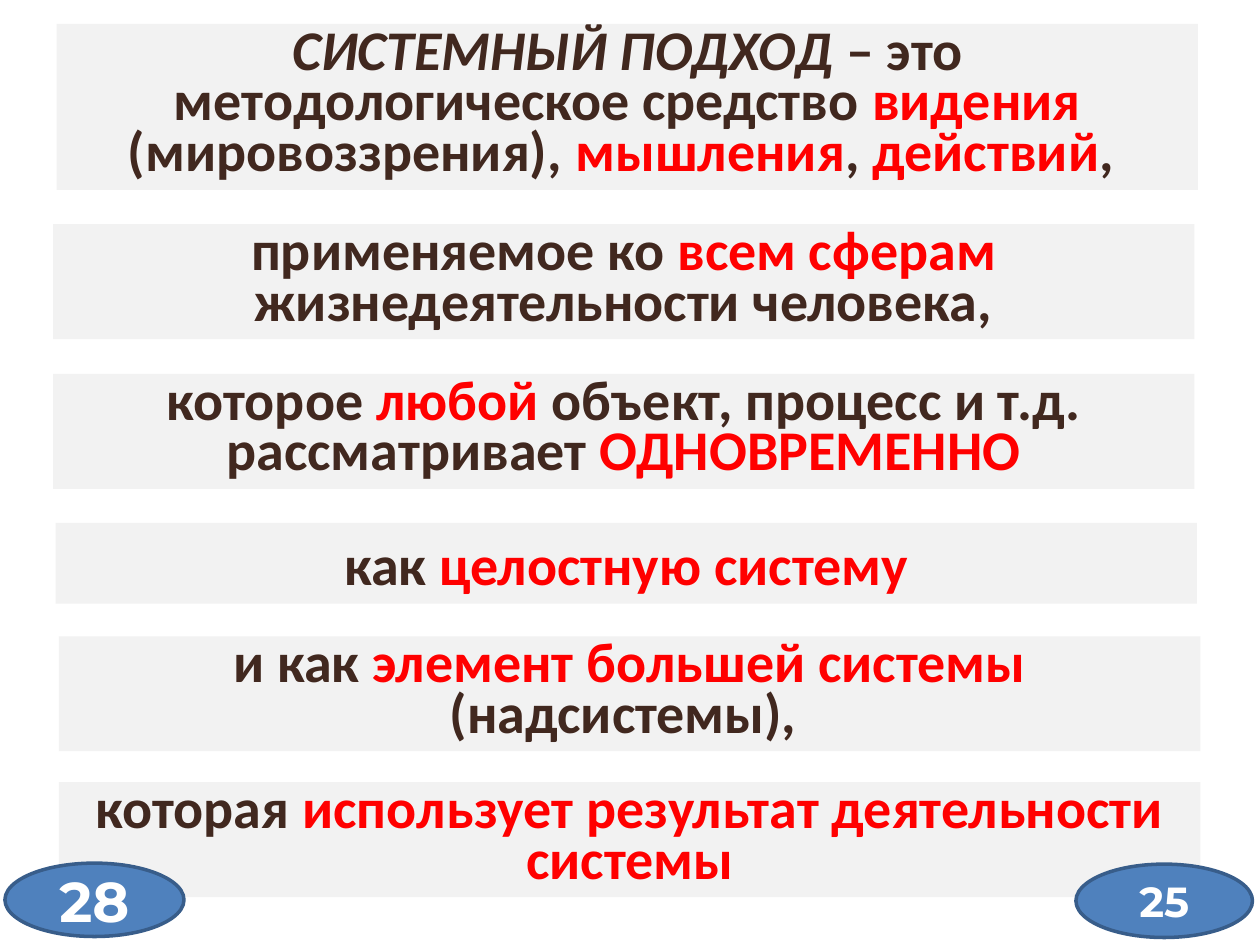
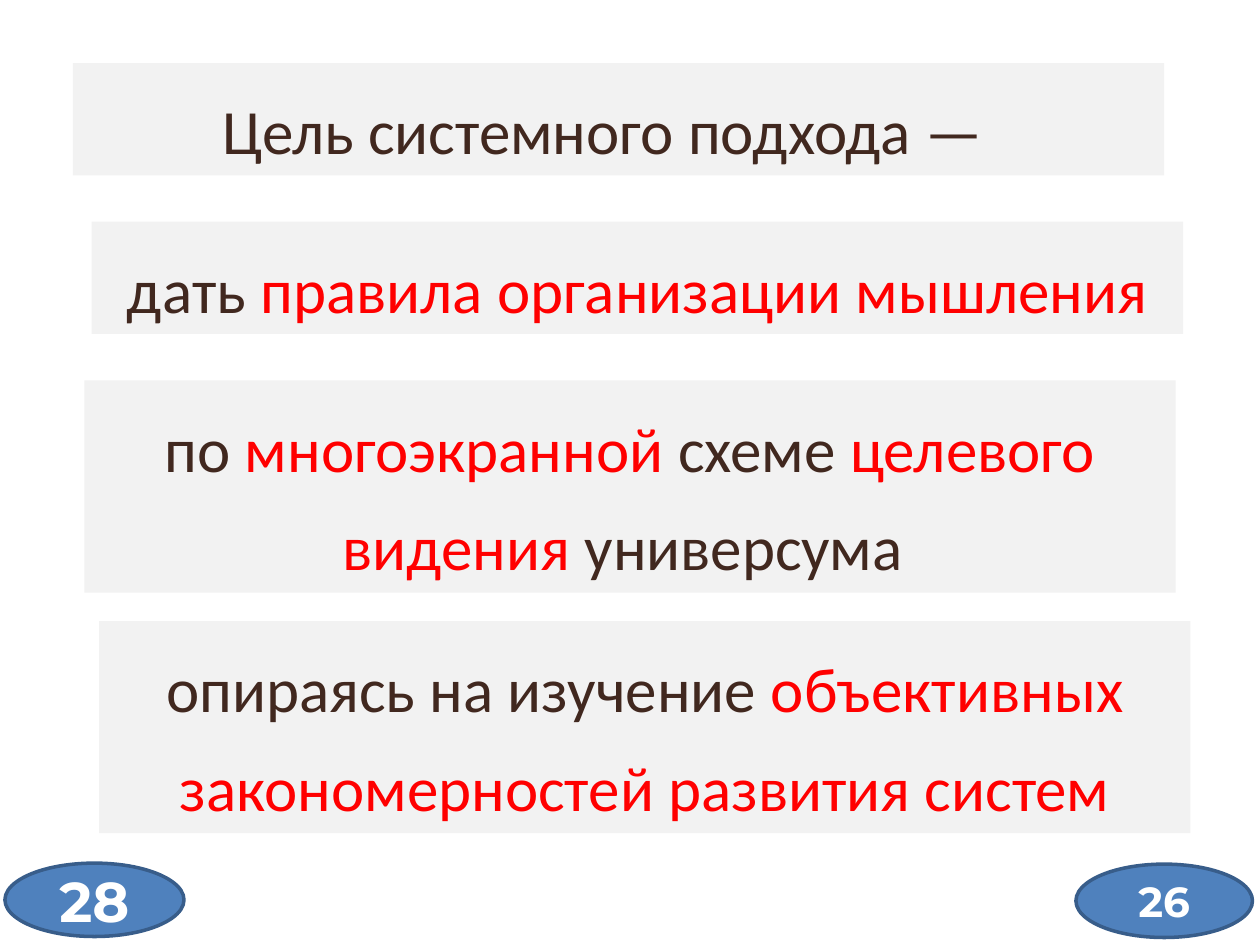
"""Build two slides on the systems approach: stacked text bands and number badges."""
from pptx import Presentation
from pptx.dml.color import RGBColor
from pptx.enum import shapes, text
from pptx.util import Cm, Pt

INK = RGBColor(0x41, 0x28, 0x1F)
RED = RGBColor(0xFF, 0x00, 0x00)
BAND = RGBColor(0xF2, 0xF2, 0xF2)
BLUE = RGBColor(0x4F, 0x81, 0xBD)
EDGE = RGBColor(0x38, 0x5D, 0x8A)
WHITE = RGBColor(0xFF, 0xFF, 0xFF)

# Band: left, top, lines, spacing, runs as (mark, text); "r" is red, "i" italic
SLIDES = [
    {"num": "25", "wide": 23.01, "size": 32, "bold": True, "pad": 0.25,
     "bands": [
         (1.14, 0.48, 3, 0.75, [
             ("i", "СИСТЕМНЫЙ ПОДХОД"),
             ("", " – это методологическое средство "),
             ("r", "видения"), ("", " (мировоззрения), "),
             ("r", "мышления"), ("", ", "),
             ("r", "действий"), ("", ", ")]),
         (1.07, 4.52, 2, 0.75, [
             ("", "применяемое ко "), ("r", "всем сферам"),
             ("", " жизнедеятельности человека,")]),
         (1.07, 7.54, 2, 0.75, [
             ("", "которое "), ("r", "любой"),
             ("", " объект, процесс и т.д. рассматривает "),
             ("r", "ОДНОВРЕМЕННО")]),
         (1.12, 10.54, 1, 1, [
             ("", "как "), ("r", "целостную систему")]),
         (1.19, 12.83, 2, 0.75, [
             ("", "и как "), ("r", "элемент большей системы "),
             ("", "(надсистемы), ")]),
         (1.19, 15.77, 2, 0.75, [
             ("", "которая "),
             ("r", "использует результат деятельности системы")]),
     ]},
    {"num": "26", "wide": 22, "size": 36, "bold": False, "pad": 0.9,
     "bands": [
         (1.47, 1.27, 1, 1.3, [("", "Цель системного подхода —")]),
         (1.85, 4.47, 1, 1.3, [
             ("", "дать "), ("r", "правила организации мышления")]),
         (1.7, 7.67, 2, 1.3, [
             ("", "по "), ("r", "многоэкранной"), ("", " схеме "),
             ("r", "целевого видения"), ("", " универсума ")]),
         (2, 12.52, 2, 1.3, [
             ("", "опираясь на изучение "),
             ("r", "объективных закономерностей развития систем")]),
     ]},
]
SIDE = ("28", 0.1, 17.4, 3.61, 32)
PAGE = (21.69, 17.42, 3.56, 24)
TALL = 1.48


def fill_band(box, band, deck):
    """Place and format one band of text."""
    left, top, lines, space, runs = band
    line = Pt(deck["size"] * 1.22 * space)
    box.left, box.top = Cm(left), Cm(top)
    box.width, box.height = Cm(deck["wide"]), lines * line + Cm(0.25)
    box.fill.solid()
    box.fill.fore_color.rgb = BAND
    frame = box.text_frame
    frame.word_wrap = True
    frame.vertical_anchor = text.MSO_ANCHOR.TOP
    frame.auto_size = text.MSO_AUTO_SIZE.SHAPE_TO_FIT_TEXT
    para = frame.paragraphs[0]
    para.alignment = text.PP_ALIGN.CENTER
    para.line_spacing = float(space)
    for mark, words in runs:
        run = para.add_run()
        run.text = words
        font = run.font
        font.name, font.size = "Calibri", Pt(deck["size"])
        font.bold, font.italic = deck["bold"], mark == "i"
        font.color.rgb = RED if mark == "r" else INK


def add_badge(slide, label, left, top, wide, size):
    """Add a numbered oval."""
    oval = slide.shapes.add_shape(shapes.MSO_SHAPE.OVAL, Cm(left), Cm(top),
                                  Cm(wide), Cm(TALL))
    oval.shadow.inherit = False
    oval.fill.solid()
    oval.fill.fore_color.rgb = BLUE
    oval.line.color.rgb = EDGE
    oval.line.width = Pt(2)
    frame = oval.text_frame
    frame.text = label
    frame.vertical_anchor = text.MSO_ANCHOR.MIDDLE
    para = frame.paragraphs[0]
    para.alignment = text.PP_ALIGN.CENTER
    font = para.runs[0].font
    font.name, font.size, font.bold = "Montserrat", Pt(size), True
    font.color.rgb = WHITE


def main():
    """Build and save the slides."""
    prs = Presentation()
    prs.slide_width, prs.slide_height = Cm(25.4), Cm(19.05)
    for deck in SLIDES:
        slide = prs.slides.add_slide(prs.slide_layouts[5])
        head, *rest = deck["bands"]
        title = slide.shapes.title
        fill_band(title, head, deck)
        title.text_frame.margin_right = Cm(deck["pad"])
        for band in rest:
            fill_band(slide.shapes.add_textbox(0, 0, 0, 0), band, deck)
        add_badge(slide, deck["num"], *PAGE)
        add_badge(slide, *SIDE)
    prs.save("out.pptx")


if __name__ == "__main__":
    main()
